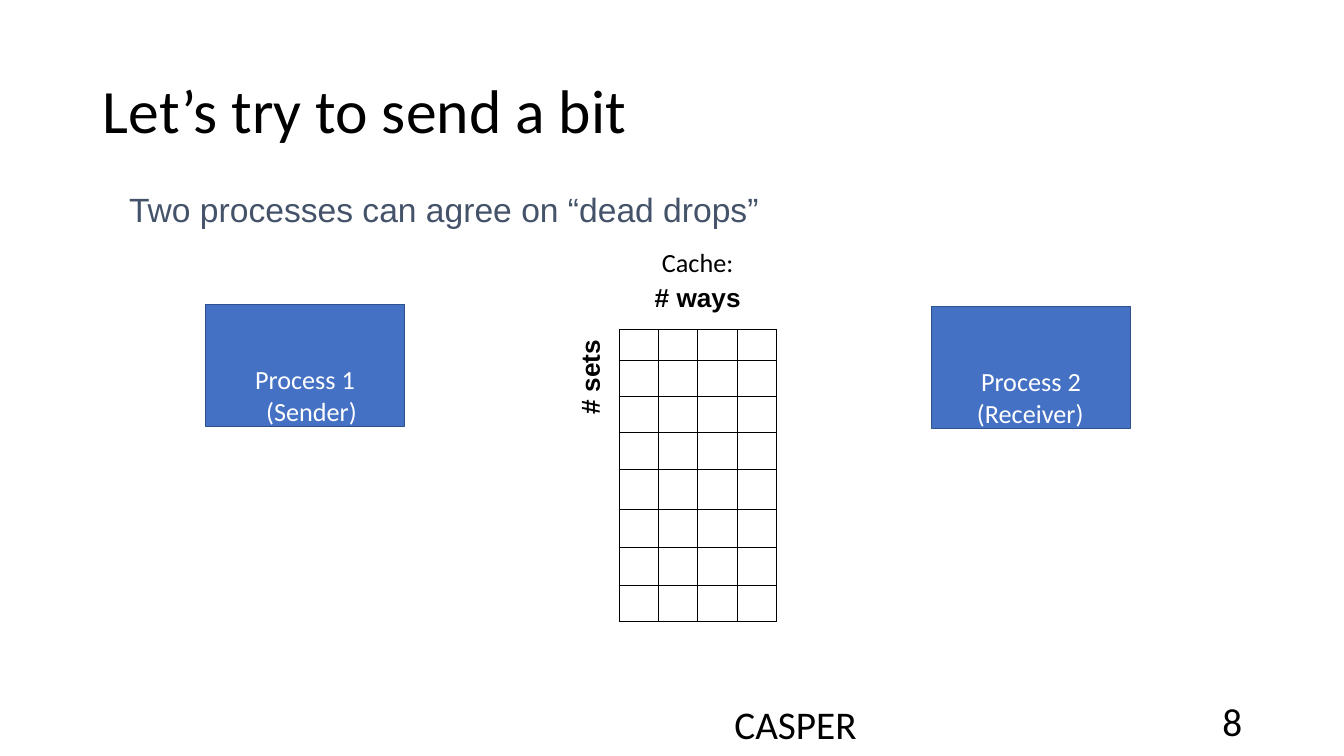
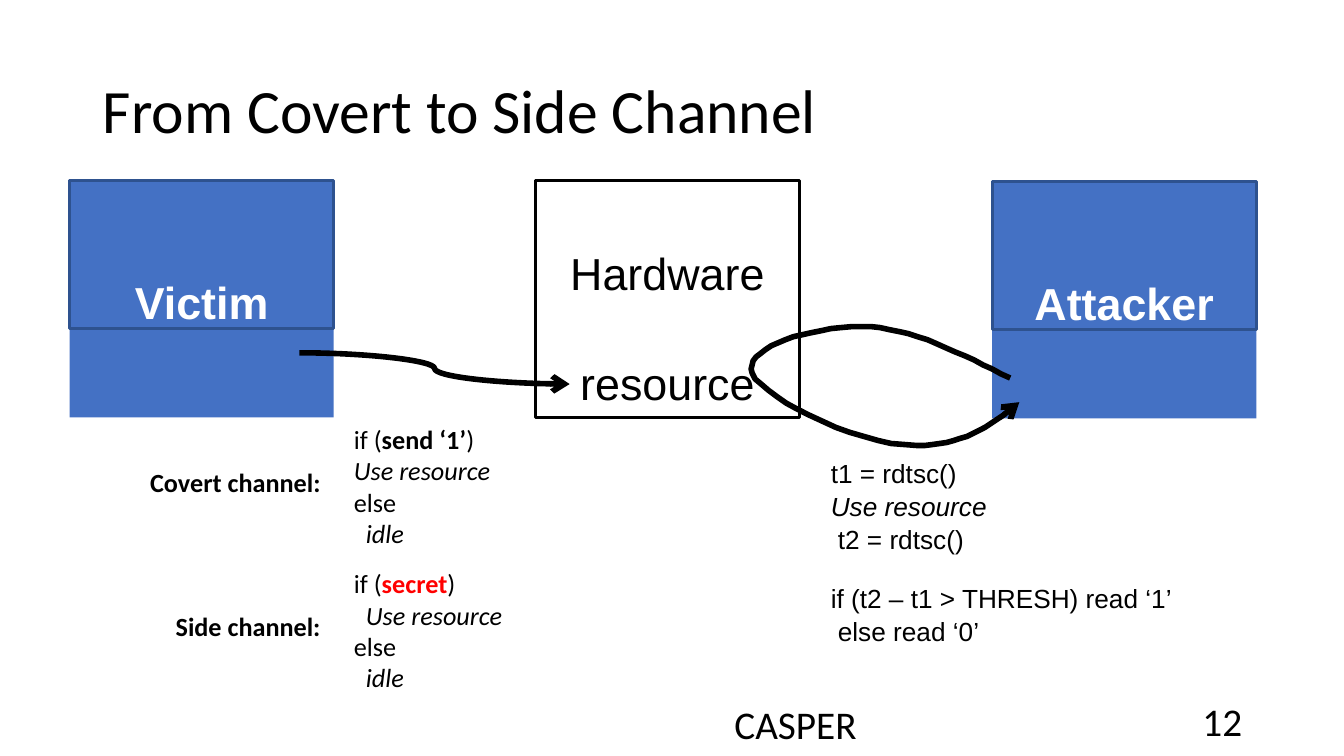
import pptx
import pptx.dml.color
import pptx.enum.shapes
import pptx.enum.text
import pptx.oxml
import pptx.oxml.ns
import pptx.util
from lxml import etree

RGB = pptx.dml.color.RGBColor
BLACK = RGB(0x00, 0x00, 0x00)
WHITE = RGB(0xFF, 0xFF, 0xFF)
BLUE = RGB(0x44, 0x71, 0xC4)
NAVY = RGB(0x2E, 0x52, 0x8F)
SLATE = RGB(0x44, 0x53, 0x6A)
RED = RGB(0xFF, 0x00, 0x00)

SANS, ARIAL = "Calibri", "Arial"
BODY = 18.7
SCALE = 9144  # 100 px to the inch

ALIGN = pptx.enum.text.PP_ALIGN
ANCHOR = pptx.enum.text.MSO_ANCHOR
SHAPE = pptx.enum.shapes.MSO_SHAPE
LINK = pptx.enum.shapes.MSO_CONNECTOR
qn = pptx.oxml.ns.qn


def px(*vals):
    return [pptx.util.Emu(val * SCALE) for val in vals]


# Text

def style(run, size, font, color, marks=""):
    run.font.size = pptx.util.Pt(size)
    run.font.name = font
    run.font.color.rgb = RED if "r" in marks else color
    run.font.bold = "b" in marks
    run.font.italic = "i" in marks


def write(shape, lines, size=BODY, font=SANS, color=BLACK, align=ALIGN.LEFT,
          anchor=ANCHOR.TOP, gap=0, top=0):
    """Each line is (indent, (text, marks), ...); marks are b, i and r."""
    frame = shape.text_frame
    frame.word_wrap = True
    frame.vertical_anchor = anchor
    frame.margin_left = frame.margin_right = frame.margin_bottom = 0
    frame.margin_top = px(top)[0]
    for num, (indent, *runs) in enumerate(lines):
        para = frame.add_paragraph() if num else frame.paragraphs[0]
        para.alignment = align
        if indent:
            para._p.get_or_add_pPr().set("marL", str(indent * SCALE))
        if num and gap:
            para.space_before = pptx.util.Pt(gap)
        for text, marks in runs:
            run = para.add_run()
            run.text = text
            style(run, size, font, color, marks)
    return frame


def label(slide, box, lines, **look):
    return write(slide.shapes.add_textbox(*px(*box)), lines, **look)


# Shapes

def block(slide, box, fill=None, line=None, width=1):
    shape = slide.shapes.add_shape(SHAPE.RECTANGLE, *px(*box))
    shape.shadow.inherit = False
    if fill is None:
        shape.fill.background()
    else:
        shape.fill.solid()
        shape.fill.fore_color.rgb = fill
    if line is None:
        shape.line.fill.background()
    else:
        shape.line.color.rgb = line
        shape.line.width = pptx.util.Pt(width)
    return shape


def arrow(shape):
    shape.line.color.rgb = BLACK
    shape.line.width = pptx.util.Pt(4)
    etree.SubElement(shape.line._get_or_add_ln(), qn("a:tailEnd"),
                     type="arrow", w="med", len="med")


def bezier(ends, steps=16):
    """Points along joined cubic curves: start, then two handles and an end."""
    points = [ends[0]]
    for at in range(0, len(ends) - 1, 3):
        part = ends[at:at + 4]
        for step in range(1, steps + 1):
            t = step / steps
            weights = ((1 - t) ** 3, 3 * t * (1 - t) ** 2,
                       3 * t * t * (1 - t), t ** 3)
            points.append(tuple(sum(w * p[k] for w, p in zip(weights, part))
                                for k in (0, 1)))
    return points


# Parts shared by the slides

def base(deck, title, number):
    slide = deck.slides.add_slide(deck.slide_layouts[5])
    head = slide.shapes.title
    head.left, head.top, head.width, head.height = px(92, 40, 1150, 145)
    frame = head.text_frame
    frame.text = title
    frame.vertical_anchor = ANCHOR.MIDDLE
    para = frame.paragraphs[0]
    para.alignment = ALIGN.LEFT
    para.line_spacing = 0.9
    style(para.runs[0], 44, SANS, BLACK)
    label(slide, (564, 698, 450, 40), [(0, ("CASPER", ""))], size=28,
          align=ALIGN.CENTER, anchor=ANCHOR.MIDDLE)
    label(slide, (942, 695, 290, 40), [(0, (number, ""))], size=28,
          align=ALIGN.RIGHT, anchor=ANCHOR.MIDDLE)
    return slide


# Slide parts

def process(slide, box, lines):
    shape = block(slide, box, BLUE, NAVY)
    write(shape, lines, color=WHITE, anchor=ANCHOR.BOTTOM)


def border(cell):
    props = cell._tc.get_or_add_tcPr()
    for num, side in enumerate(("lnL", "lnR", "lnT", "lnB")):
        line = etree.Element(qn("a:" + side), w="9525")
        fill = etree.SubElement(line, qn("a:solidFill"))
        etree.SubElement(fill, qn("a:srgbClr"), val=str(BLACK))
        props.insert(num, line)


def cache(slide, left, top):
    cols, rows = (39,) * 4, (31, 35, 36, 37, 39, 38, 38, 36)
    wide = sum(cols)
    grid = slide.shapes.add_table(
        len(rows), len(cols), *px(left, top, wide, sum(rows))).table
    grid.first_row = grid.horz_banding = False
    for col, size in zip(grid.columns, cols):
        col.width = px(size)[0]
    for row, size in zip(grid.rows, rows):
        row.height = px(size)[0]
        for cell in row.cells:
            cell.margin_top = cell.margin_bottom = 0
            cell.fill.background()
            border(cell)
            etree.SubElement(cell.text_frame.paragraphs[0]._p,
                             qn("a:endParaRPr"), sz="1000")
    # Headings above and beside the grid
    frame = label(slide, (left, top - 83, wide, 70),
                  [(0, ("Cache:", "")), (0, ("# ways", "b"))],
                  align=ALIGN.CENTER, gap=3)
    frame.paragraphs[1].runs[0].font.name = ARIAL
    side = label(slide, (left - 45, top + 6, 31, 80),
                 [(2, ("# sets", "b"))], font=ARIAL)
    side._txBody.bodyPr.set("vert", "vert270")


def party(slide, box, name):
    left, top, wide, _ = box
    block(slide, box, BLUE)
    front = block(slide, (left, top, wide, 147), line=NAVY, width=2)
    write(front, [(0, (name, "b"))], size=32, font=ARIAL, color=WHITE,
          align=ALIGN.CENTER, anchor=ANCHOR.BOTTOM)


def probe(slide, left, top):
    """Arrow that leaves the attacker, loops left and comes back."""
    ends = [(257, 51), (210, 28), (158, 0), (110, 0),
            (55, 0), (0, 21), (0, 42),
            (0, 64), (100, 118), (165, 118),
            (205, 118), (238, 100), (266, 75)]
    points = [(left + x, top + y) for x, y in bezier(ends)]
    path = slide.shapes.build_freeform(*points[0], scale=SCALE)
    path.add_line_segments(points[1:], close=False)
    shape = path.convert_to_shape()
    shape.shadow.inherit = False
    shape.fill.background()
    arrow(shape)


def signal(slide, *ends):
    link = slide.shapes.add_connector(LINK.CURVE, *px(*ends))
    arrow(link)
    etree.SubElement(link._element.spPr, qn("a:effectLst"))


def channel(slide, left, top, name, test, indent):
    label(slide, (left, top + 43, 178, 33), [(0, (name, "b"))],
          align=ALIGN.RIGHT)
    label(slide, (left + 211, top, 200, 128),
          [(0, ("if (", ""), test, (")", "")),
           (indent, ("Use resource", "i")),
           (0, ("else", "")),
           (12, ("idle", "i"))])


# Slides

def send(deck):
    slide = base(deck, "Let’s try to send a bit", "8")
    label(slide, (128, 187, 700, 40),
          [(0, ("Two processes can agree on “dead drops”", ""))],
          size=24, font=ARIAL, color=SLATE)
    process(slide, (204, 302, 197, 121),
            [(49, ("Process 1", "")), (60, ("(Sender)", ""))])
    process(slide, (924, 304, 197, 121),
            [(49, ("Process 2", "")), (45, ("(Receiver)", ""))])
    cache(slide, 614, 327)


def covert(deck):
    slide = base(deck, "From Covert to Side Channel", "12")
    store = block(slide, (531, 179, 262, 235), line=BLACK, width=2)
    write(store, [(0, ("Hardware", "")), (0, ("resource", ""))], size=32,
          font=ARIAL, align=ALIGN.CENTER, gap=40, top=65)
    party(slide, (69, 179, 262, 235), "Victim")
    party(slide, (984, 180, 262, 235), "Attacker")
    signal(slide, 297, 350, 565, 381)
    probe(slide, 745, 324)
    channel(slide, 140, 420, "Covert channel:", ("send ‘1’", "b"), 0)
    channel(slide, 140, 563, "Side channel:", ("secret", "br"), 12)
    # Timing code of the attacker
    label(slide, (824, 454, 250, 96),
          [(0, ("t1 = rdtsc()", "")),
           (0, ("Use resource", "i")),
           (7, ("t2 = rdtsc()", ""))], font=ARIAL, gap=1)
    label(slide, (824, 578, 400, 65),
          [(0, ("if (t2 – t1 > THRESH) read ‘1’", "")),
           (7, ("else read ‘0’", ""))], font=ARIAL, gap=1)


def main():
    deck = pptx.Presentation()
    deck.slide_width, deck.slide_height = px(1333, 750)
    send(deck)
    covert(deck)
    deck.save("out.pptx")


if __name__ == "__main__":
    main()
